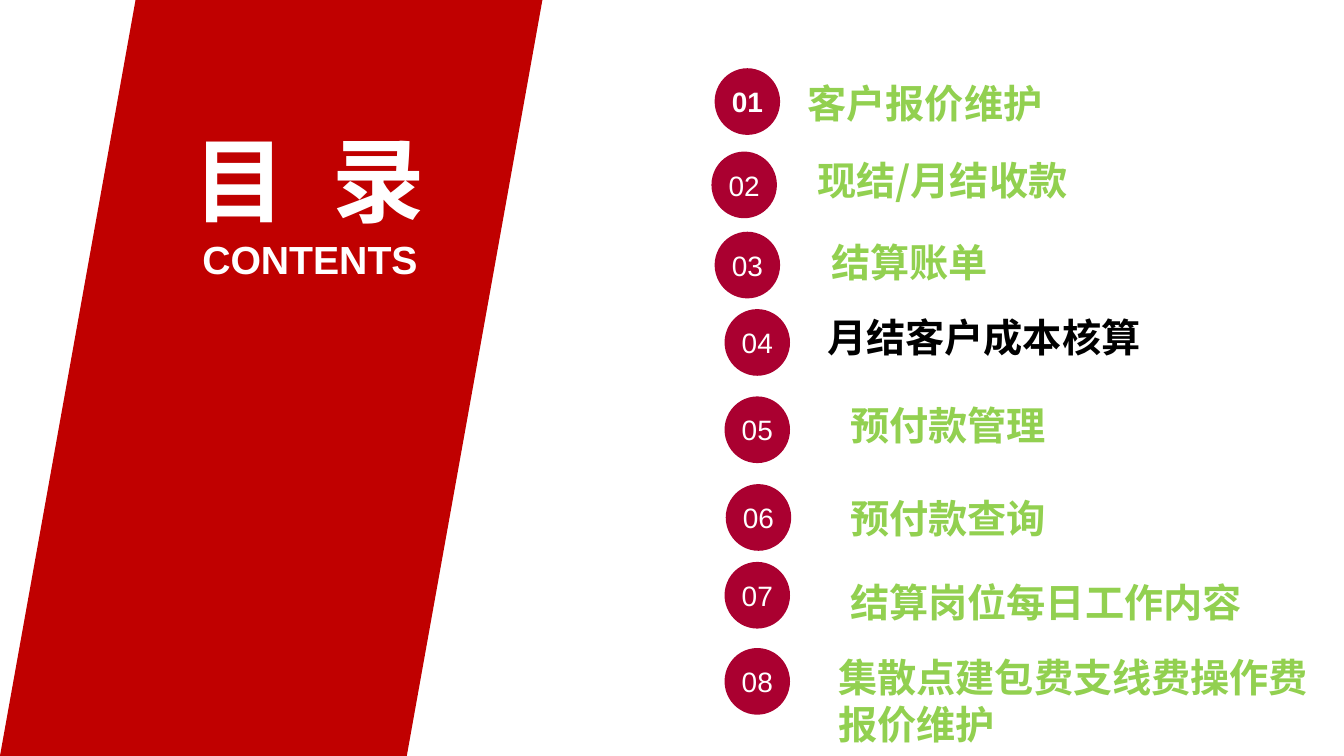
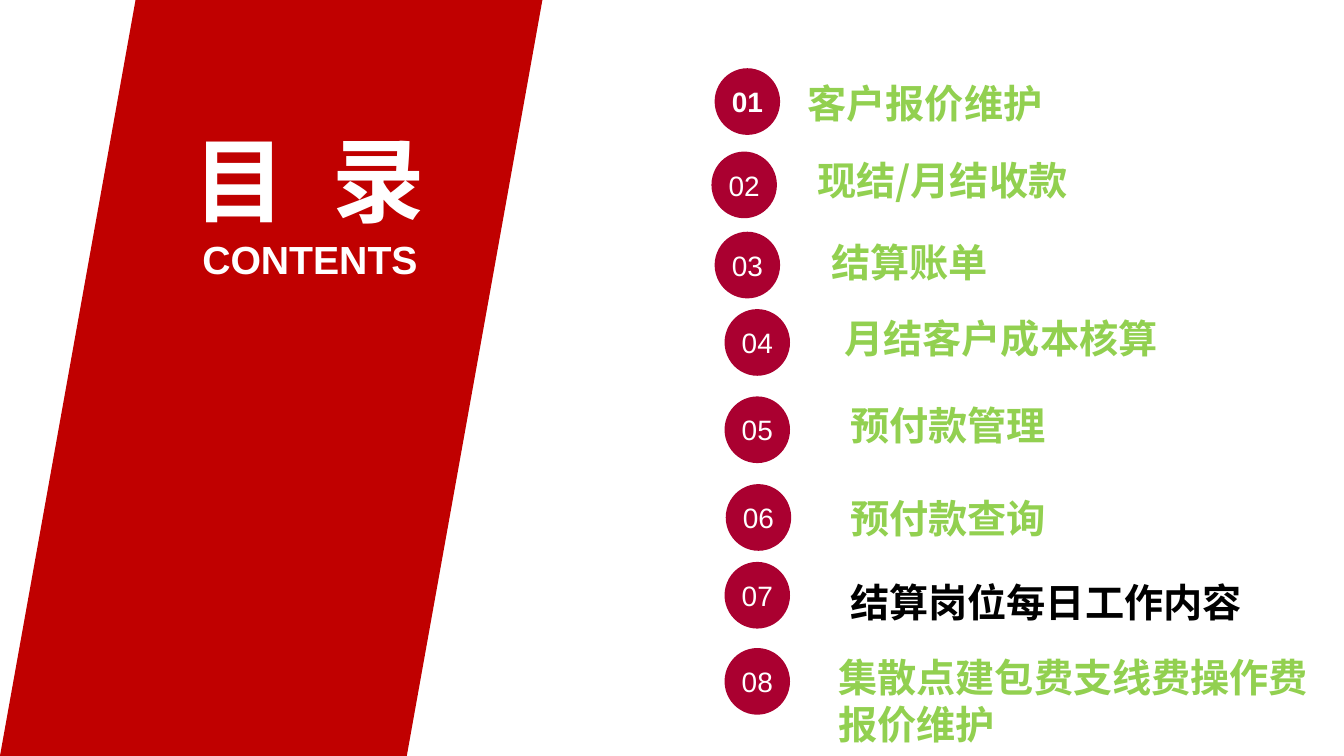
from collections import namedtuple

from pptx import Presentation
from pptx.dml.color import RGBColor
from pptx.enum.shapes import MSO_SHAPE as Shape
from pptx.enum.text import MSO_ANCHOR as Anchor, MSO_AUTO_SIZE as AutoSize, PP_ALIGN as Align
from pptx.oxml.ns import qn
from pptx.util import Cm, Pt

# Palette
WHITE = RGBColor(0xFF, 0xFF, 0xFF)
BLACK = RGBColor(0x00, 0x00, 0x00)
BAND_RED = RGBColor(0xC0, 0x00, 0x00)
BADGE_RED = RGBColor(0xAA, 0x00, 0x30)
GREEN = RGBColor(0x92, 0xD0, 0x50)

LATIN = "Arial"
CHINESE = "Noto Sans CJK SC"

# Sizes in centimetres
WIDTH, HEIGHT = 33.87, 19.05
BADGE_WIDTH, BADGE_HEIGHT = 1.65, 1.68
INSET_X, INSET_Y = 0.25, 0.13

# Chapters: badge position, then label position and size
Chapter = namedtuple("Chapter", "name badge label align", defaults=[Align.LEFT])
CHAPTERS = [
    Chapter("客户报价维护", (18.01, 1.72), (20.1, 1.88, 10.85, 1.45)),
    Chapter("现结/月结收款", (17.93, 3.82), (20.35, 3.81, 7.8, 1.45)),
    Chapter("结算账单", (18.01, 5.84), (20.7, 5.87, 7.44, 1.45)),
    Chapter("月结客户成本核算", (18.26, 7.79), (20.35, 7.8, 9.75, 1.45), Align.CENTER),
    Chapter("预付款管理", (18.26, 9.99), (21.18, 9.98, 5.6, 1.45)),
    Chapter("预付款查询", (18.29, 12.2), (21.18, 12.32, 5.6, 1.45)),
    Chapter("结算岗位每日工作内容", (18.26, 14.16), (21.18, 14.45, 10.5, 1.45)),
    Chapter("集散点建包费支线费操作费报价维护", (18.26, 16.33), (20.88, 16.33, 12.5, 2.64)),
]
CURRENT_SHIFT = {4: (-0.43, -0.03)}  # label offset while its chapter is current


class ContentsDeck:
    """Holds the shared style and the slide being built."""

    def __init__(self):
        self.prs = Presentation()
        self.prs.slide_width, self.prs.slide_height = Cm(WIDTH), Cm(HEIGHT)
        self.layout = self.prs.slide_layouts[5]
        self.slide = None

    def new_slide(self):
        self.slide = self.prs.slides.add_slide(self.layout)

    def add_run(self, paragraph, text, size, color, bold=True, font=LATIN):
        run = paragraph.add_run()
        run.text = text
        run.font.name, run.font.size, run.font.bold = font, Pt(size), bold
        run.font.color.rgb = color
        properties = run.font._element
        east_asian = properties.makeelement(qn("a:ea"), {"typeface": CHINESE})
        properties.find(qn("a:latin")).addnext(east_asian)
        return run

    def frame(self, shape, align, anchor=Anchor.TOP, inset=(0, 0)):
        text = shape.text_frame
        text.word_wrap, text.auto_size = True, AutoSize.NONE
        text.vertical_anchor = anchor
        text.margin_left = text.margin_right = Cm(inset[0])
        text.margin_top = text.margin_bottom = Cm(inset[1])
        text.paragraphs[0].alignment = align
        return text.paragraphs[0]

    def shape(self, kind, box, color):
        shape = self.slide.shapes.add_shape(kind, *map(Cm, box))
        shape.shadow.inherit = False
        shape.fill.solid()
        shape.fill.fore_color.rgb = color
        shape.line.fill.background()
        return shape

    def text(self, box, words, size, color, align, inset=(0, 0), font=LATIN):
        holder = self.slide.shapes.add_textbox(*map(Cm, box))
        self.add_run(self.frame(holder, align, inset=inset), words, size, color, font=font)
        return holder

    def title(self):
        heading = self.slide.shapes.title
        heading.left, heading.top, heading.width, heading.height = map(
            Cm, (4.42, 3.1, 6.76, 2.82))
        paragraph = self.frame(heading, Align.CENTER, Anchor.MIDDLE)
        self.add_run(paragraph, "目", 66, WHITE)
        gap = self.add_run(paragraph, " ", 66, WHITE)
        gap.font._element.set("spc", "1830")  # widens the space between the characters
        self.add_run(paragraph, "录", 66, WHITE)

    def share_band(self):
        """Put the red band and its subtitle on the layout, behind the title."""
        for placeholder in list(self.layout.placeholders)[1:]:
            placeholder.element.getparent().remove(placeholder.element)
        band = self.shape(Shape.PARALLELOGRAM, (0, 0, 13.67, HEIGHT), BAND_RED)
        subtitle = self.text((4.47, 5.92, 6.68, 1.19), "CONTENTS", 28, WHITE, Align.CENTER)
        for position, part in enumerate((band, subtitle), start=2):
            self.layout.shapes.element.insert(position, part.element)

    def badge(self, number, position):
        circle = self.shape(Shape.OVAL, (*position, BADGE_WIDTH, BADGE_HEIGHT), BADGE_RED)
        paragraph = self.frame(circle, Align.CENTER, Anchor.MIDDLE)
        self.add_run(paragraph, f"{number:02}", 20, WHITE, bold=number == 1)

    def chapter(self, number, chapter, is_current):
        self.badge(number, chapter.badge)
        left, top, width, height = chapter.label
        dx, dy = CURRENT_SHIFT.get(number, (0, 0)) if is_current else (0, 0)
        self.text((left + dx, top + dy, width, height), chapter.name, 28,
                  BLACK if is_current else GREEN, chapter.align,
                  (INSET_X, INSET_Y), CHINESE)


def main():
    deck = ContentsDeck()
    for index, current in enumerate((4, 7)):
        deck.new_slide()
        if index == 0:
            deck.share_band()
        deck.title()
        for number, chapter in enumerate(CHAPTERS, start=1):
            deck.chapter(number, chapter, number == current)
    deck.prs.save("out.pptx")


if __name__ == "__main__":
    main()
